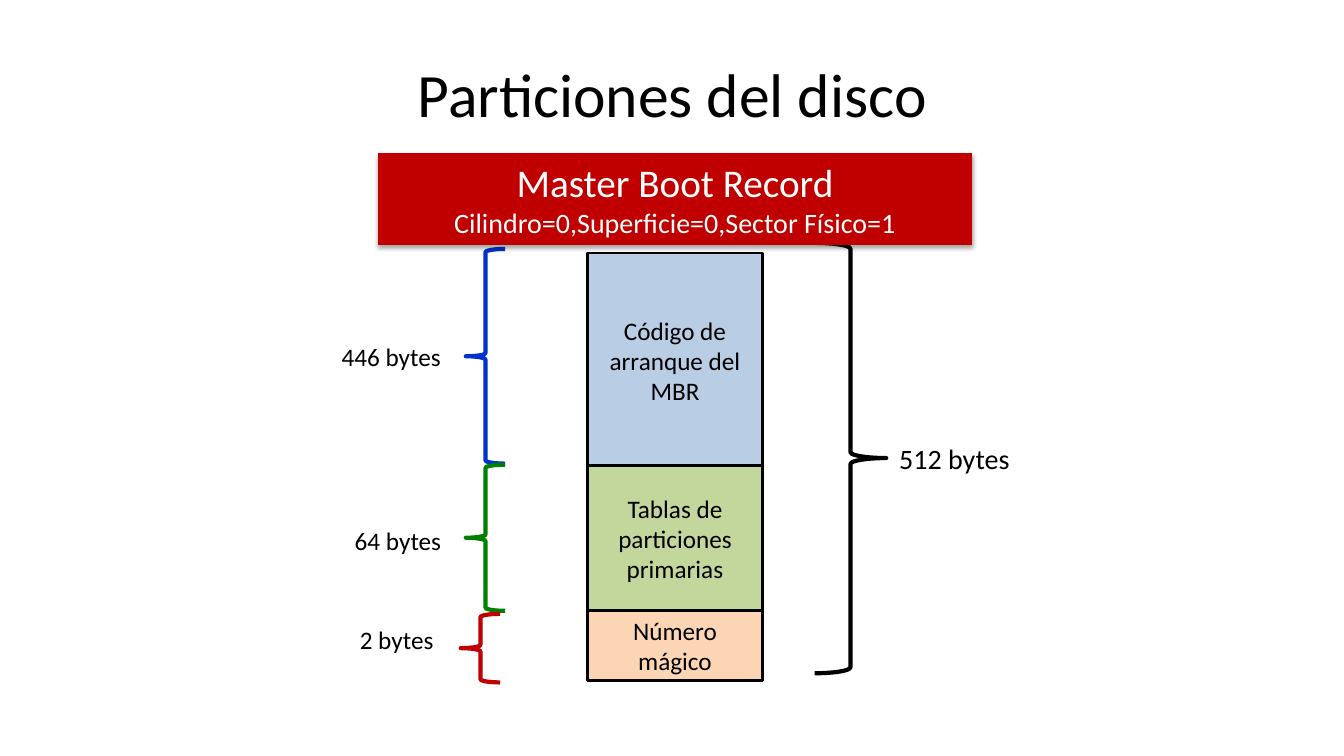
from lxml import etree
from pptx import Presentation
from pptx import util as u
from pptx.dml.color import RGBColor
from pptx.enum import shapes, text
from pptx.oxml import ns

COLORS = {
    "black": "000000", "white": "FFFFFF", "code": "B9CDE5", "tables": "C3D69B",
    "magic": "FCD5B5", "blue": "0033CC", "green": "008000", "red": "C00000",
}
MSO = shapes.MSO_SHAPE
ANCHOR = text.MSO_ANCHOR


def write(sp, lines, color="black", align=text.PP_ALIGN.CENTER,
          anchor=ANCHOR.MIDDLE, wrap=True):
    """Fill a shape with (text, size) lines, one paragraph each."""
    tf = sp.text_frame
    tf.word_wrap = wrap
    tf.vertical_anchor = anchor
    for i, (line, size) in enumerate(lines):
        p = tf.add_paragraph() if i else tf.paragraphs[0]
        p.alignment = align
        r = p.add_run()
        r.text = line
        r.font.name = "Calibri"
        r.font.size = u.Pt(size)
        r.font.color.rgb = RGBColor.from_string(COLORS[color])


def add_shape(kind, box, fill=None, line=None, width=2):
    """Add a preset shape at (left, top, width, height) in inches."""
    sp = s.shapes.add_shape(kind, *map(u.Inches, box))
    sp.shadow.inherit = False
    if fill:
        sp.fill.solid()
        sp.fill.fore_color.rgb = RGBColor.from_string(COLORS[fill])
    else:
        sp.fill.background()
    if line:
        sp.line.color.rgb = RGBColor.from_string(COLORS[line])
        sp.line.width = u.Pt(width)
    else:
        sp.line.fill.background()
    return sp


prs = Presentation()
prs.slide_width, prs.slide_height = u.Inches(13.33), u.Inches(7.5)
s = prs.slides.add_slide(prs.slide_layouts[6])

# Title
title = s.shapes.add_textbox(*map(u.Inches, (0.67, 0.3, 12, 1.25)))
write(title, [("Particiones del disco", 44)])

# Sections of the boot record
for label, top, height, fill in [
    ("Código de arranque del MBR", 2.51, 2.13, "code"),
    ("Tablas de particiones primarias", 4.62, 1.44, "tables"),
    ("Número mágico", 6.06, 0.69, "magic"),
]:
    section = add_shape(MSO.RECTANGLE, (5.83, top, 1.73, height), fill, "black")
    write(section, [(label, 18)])

# Braces
for kind, box, color in [
    (MSO.RIGHT_BRACE, (8.08, 2.41, 0.71, 4.27), "black"),
    (MSO.LEFT_BRACE, (4.62, 2.47, 0.39, 2.13), "blue"),
    (MSO.LEFT_BRACE, (4.62, 4.61, 0.39, 1.45), "green"),
    (MSO.LEFT_BRACE, (4.57, 6.09, 0.39, 0.68), "red"),
]:
    add_shape(kind, box, line=color, width=3)

# Size labels
for label, size, box in [
    ("512 bytes", 20, (8.82, 4.33, 1.31, 0.44)),
    ("446 bytes", 18, (3.29, 3.34, 1.2, 0.4)),
    ("64 bytes", 18, (3.42, 5.16, 1.07, 0.4)),
    ("2 bytes", 18, (3.47, 6.14, 0.94, 0.4)),
]:
    tb = s.shapes.add_textbox(*map(u.Inches, box))
    write(tb, [(label, size)], align=text.PP_ALIGN.LEFT, anchor=ANCHOR.TOP, wrap=False)

# Banner with a soft shadow below it
banner = add_shape(MSO.RECTANGLE, (3.75, 1.52, 5.89, 0.91), "red")
write(banner, [("Master Boot Record", 28), ("Cilindro=0,Superficie=0,Sector Físico=1", 20)],
      color="white", anchor=ANCHOR.TOP)
effects = banner.element.spPr.find(ns.qn("a:effectLst"))
shadow = etree.SubElement(effects, ns.qn("a:outerShdw"), blurRad=str(u.Pt(3.1)),
                          dist=str(u.Pt(1.8)), dir="5400000", rotWithShape="0")
shade = etree.SubElement(shadow, ns.qn("a:srgbClr"), val=COLORS["black"])
etree.SubElement(shade, ns.qn("a:alpha"), val="35000")

prs.save("out.pptx")
